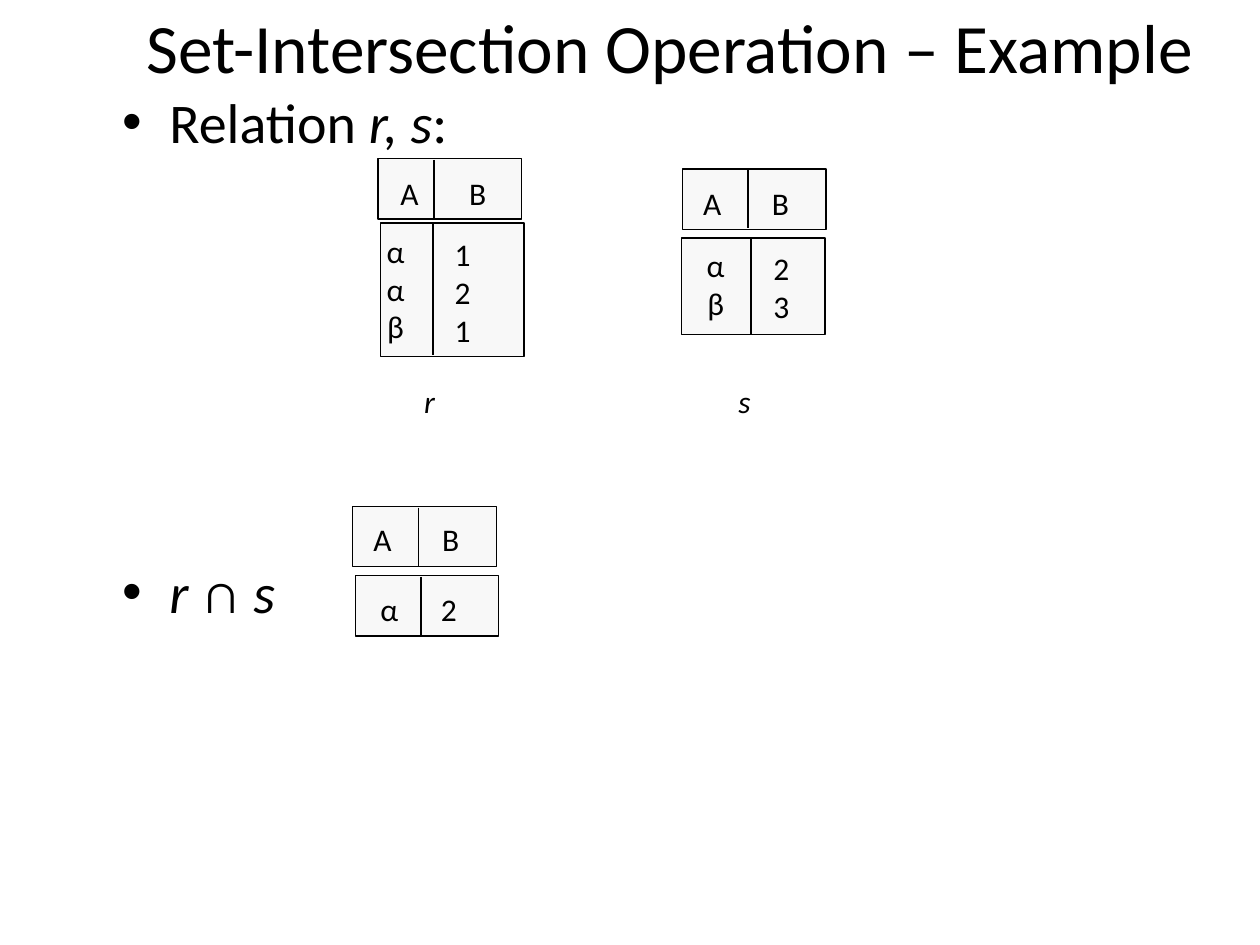
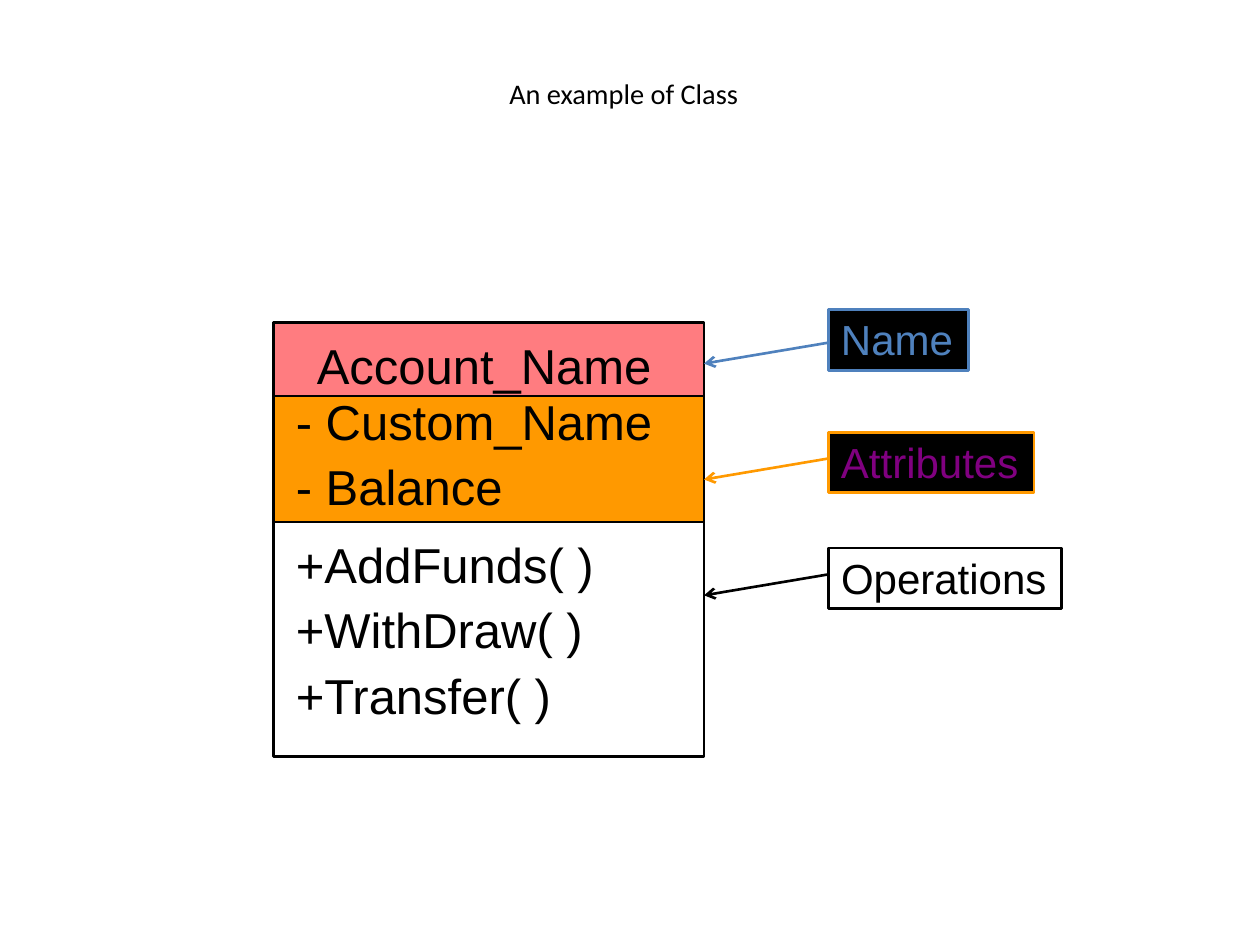
from lxml import etree
from pptx import Presentation
from pptx.dml.color import RGBColor
from pptx.enum.shapes import MSO_CONNECTOR, MSO_SHAPE
from pptx.enum.text import MSO_ANCHOR, MSO_AUTO_SIZE, PP_ALIGN
from pptx.oxml.ns import qn
from pptx.util import Pt

RECTANGLE = MSO_SHAPE.RECTANGLE
STRAIGHT = MSO_CONNECTOR.STRAIGHT
LEFT, CENTER = PP_ALIGN.LEFT, PP_ALIGN.CENTER
TOP, MIDDLE = MSO_ANCHOR.TOP, MSO_ANCHOR.MIDDLE
NO_AUTOFIT = MSO_AUTO_SIZE.NONE

BLACK, CELL_GREY = "000000", "F8F8F8"
ORANGE, PINK, BLUE, PURPLE = "FF9900", "FF7C80", "4F81BD", "800080"

# Slide 1: a text is a list of paragraphs, a paragraph a list of (run, italic)
INTERSECTION_TITLE = "Set-Intersection Operation – Example"
INTERSECTION_LIST = [
    [("Relation ", False), ("r, s", True), (":", False)],
    [("r ", True), ("∩ ", False), ("s", True)],
]
HEADER_HEIGHT, RELATION_WIDTH = 34.5, 82
# Each band: left, top, height, divider offset, columns
# Each column: centre offset, text drop, entries
RELATION_BANDS = [
    (216, 90.7, HEADER_HEIGHT, 32, [(18, 5, "A"), (57, 5, "B")]),
    (217.4, 127.4, 76.3, 30, [(8.6, 1.5, "ααβ"), (47, 3.6, "121")]),
    (390, 96.5, HEADER_HEIGHT, 37.5, [(17, 5, "A"), (56, 5, "B")]),
    (389.5, 136, 55.4, 39.6, [(19.5, 1, "αβ"), (57, 3, "23")]),
    (201.6, 289.4, HEADER_HEIGHT, 37.5, [(17, 4.5, "A"), (56, 4.5, "B")]),
    (203, 329, HEADER_HEIGHT, 37.5, [(19.5, 4.5, "α"), (53.5, 4.5, "2")]),
]
RELATION_NAMES = [("r", 245.5), ("s", 425.5)]  # name, centre
NAMES_TOP = 214.6

# Slide 2
CLASS_TITLE = "An example of Class"
CLASS_LEFT, CLASS_TOP, CLASS_WIDTH = 156.3, 184.3, 246
# Each section: height, fill, text left, text drop, lines
CLASS_SECTIONS = [
    (42, PINK, 174, 7.8, ["Account_Name"]),
    (72, ORANGE, 162, -2.4, ["- Custom_Name", "- Balance"]),
    (134, None, 162, 7.6, ["+AddFunds( )", "+WithDraw( )", "+Transfer( )"]),
]
# Each label: text, top, width, arrow start, fill, line colour, text colour
CLASS_LABELS = [
    ("Name", 177, 80, 195.8, BLACK, BLUE, BLUE),
    ("Attributes", 247, 117.4, 262, BLACK, ORANGE, PURPLE),
    ("Operations", 313.2, 133.2, 328.2, None, BLACK, BLACK),
]
LABEL_LEFT, LABEL_HEIGHT, ARROW_DROP = 473.5, 34.6, 12


def color(value):
    return RGBColor.from_string(value)


def write(frame, paragraphs, size=18, font="Calibri", text_color=BLACK,
          align=LEFT, anchor=TOP, wrap=True, gap=0, spacing=None):
    """Fill a text frame; gap is the space before all but the first paragraph."""
    frame.auto_size = NO_AUTOFIT
    frame.word_wrap = wrap
    frame.vertical_anchor = anchor
    for index, runs in enumerate(paragraphs):
        paragraph = frame.add_paragraph() if index else frame.paragraphs[0]
        paragraph.alignment = align
        paragraph.space_before = Pt(gap if index else 0)
        if spacing:
            paragraph.line_spacing = spacing
        for words, italic in [(runs, False)] if isinstance(runs, str) else runs:
            run = paragraph.add_run()
            run.text = words
            run.font.size, run.font.name = Pt(size), font
            run.font.italic = italic
            run.font.color.rgb = color(text_color)


def place(shape, left, top, width, height):
    shape.left, shape.top = Pt(left), Pt(top)
    shape.width, shape.height = Pt(width), Pt(height)


def add_text(slide, left, top, width, height, paragraphs, **text_format):
    box = slide.shapes.add_textbox(Pt(left), Pt(top), Pt(width), Pt(height))
    write(box.text_frame, paragraphs, **text_format)


def add_box(slide, left, top, width, height, fill, line=BLACK, weight=1.5):
    box = slide.shapes.add_shape(RECTANGLE, Pt(left), Pt(top), Pt(width), Pt(height))
    box.shadow.inherit = False
    if fill:
        box.fill.solid()
        box.fill.fore_color.rgb = color(fill)
    else:
        box.fill.background()
    box.line.color.rgb = color(line)
    box.line.width = Pt(weight)
    return box


def add_line(slide, x1, y1, x2, y2, line=BLACK, weight=0.75, arrow=False):
    connector = slide.shapes.add_connector(STRAIGHT, Pt(x1), Pt(y1), Pt(x2), Pt(y2))
    connector.line.color.rgb = color(line)
    connector.line.width = Pt(weight)
    if arrow:
        etree.SubElement(connector.line._get_or_add_ln(), qn("a:tailEnd"), type="arrow")
    etree.SubElement(connector._element.spPr, qn("a:effectLst"))


def add_centered(slide, center, top, paragraphs):
    width, height = 30, 7.2 + 22 * len(paragraphs)
    add_text(slide, center - width / 2, top, width, height, paragraphs,
             align=CENTER, wrap=False)


def build_intersection_slide(presentation):
    slide = presentation.slides.add_slide(presentation.slide_layouts[1])
    title, body = slide.shapes.title, slide.placeholders[1]
    place(title, 64.8, 2.2, 635.8, 48.2)
    write(title.text_frame, [INTERSECTION_TITLE], size=39.6, align=CENTER, anchor=MIDDLE)
    place(body, 62.6, 46.6, 617.8, 383.8)
    write(body.text_frame, INTERSECTION_LIST, size=32, gap=230)

    # Relations: header and body bands
    for left, top, height, divider, columns in RELATION_BANDS:
        add_box(slide, left, top, RELATION_WIDTH, height, CELL_GREY, weight=0.75)
        add_line(slide, left + divider, top + 0.7, left + divider, top + height - 0.7)
        for offset, drop, entries in columns:
            add_centered(slide, left + offset, top + drop, list(entries))
    for name, center in RELATION_NAMES:
        add_centered(slide, center, NAMES_TOP, [[(name, True)]])


def build_class_slide(presentation):
    slide = presentation.slides.add_slide(presentation.slide_layouts[5])
    title = slide.shapes.title
    place(title, 36, 21.6, 648, 90)
    write(title.text_frame, [CLASS_TITLE], size=16.2, align=CENTER)
    title.text_frame.margin_top = Pt(22)
    title.text_frame.margin_right = Pt(14.5)

    # Class box: stacked sections
    top = CLASS_TOP
    for height, fill, text_left, drop, lines in CLASS_SECTIONS:
        add_box(slide, CLASS_LEFT, top, CLASS_WIDTH, height, fill)
        add_text(slide, text_left, top + drop, 225, 7.2 + 36 * len(lines), lines,
                 size=28, font="Arial", gap=7, spacing=0.9)
        top += height

    # Labels with arrows to the class box
    class_right = CLASS_LEFT + CLASS_WIDTH
    for name, top, width, start, fill, line, text_color in CLASS_LABELS:
        label = add_box(slide, LABEL_LEFT, top, width, LABEL_HEIGHT, fill, line)
        write(label.text_frame, [name], size=24, font="Arial",
              text_color=text_color, wrap=False, spacing=0.9)
        label.text_frame.margin_top = Pt(5.6)
        add_line(slide, LABEL_LEFT, start, class_right, start + ARROW_DROP,
                 line, weight=1.5, arrow=True)


def main():
    presentation = Presentation()
    presentation.slide_width, presentation.slide_height = Pt(720), Pt(540)
    build_intersection_slide(presentation)
    build_class_slide(presentation)
    presentation.save("out.pptx")


if __name__ == "__main__":
    main()
